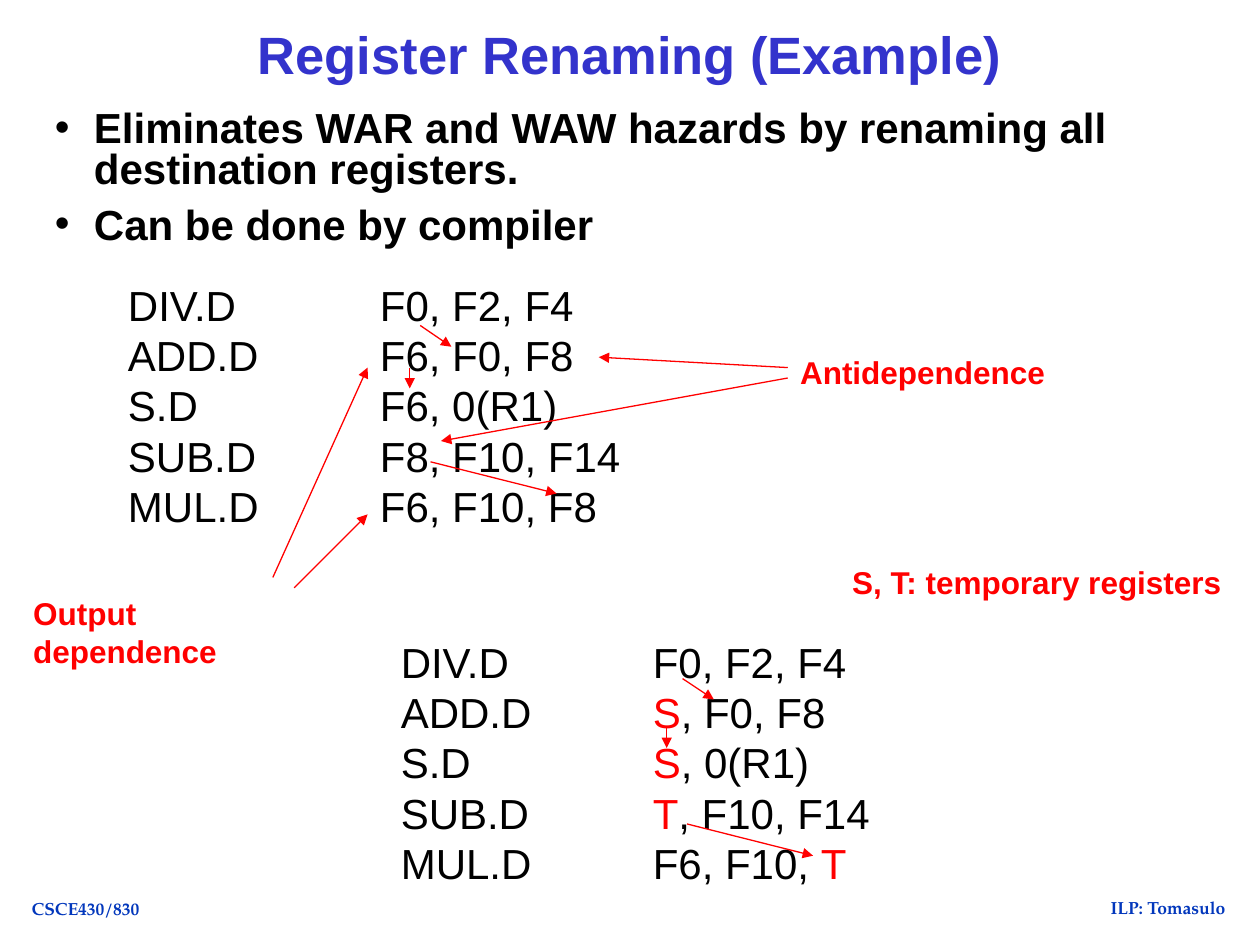
from dataclasses import dataclass

from lxml import etree
from pptx import Presentation
from pptx import util as u
from pptx.dml.color import RGBColor
from pptx.enum import shapes, text
from pptx.oxml.ns import qn


@dataclass(frozen=True)
class Theme:
    title: RGBColor = RGBColor(0x33, 0x33, 0xCC)
    body: RGBColor = RGBColor(0, 0, 0)
    accent: RGBColor = RGBColor(0xFF, 0, 0)
    footer: RGBColor = RGBColor(0x02, 0x37, 0xBC)
    font: str = "Arial"
    footer_font: str = "TeX Gyre Pagella"
    title_size: int = 30
    body_size: int = 24
    label_size: int = 18
    footer_size: int = 10
    arrow_width: float = 0.75


@dataclass(frozen=True)
class Box:
    left: float
    top: float
    width: float
    height: float


@dataclass(frozen=True)
class Label:
    words: str
    box: Box


@dataclass(frozen=True)
class Arrow:
    start_x: float
    start_y: float
    end_x: float
    end_y: float


@dataclass(frozen=True)
class Instruction:
    opcode: str
    operands: str
    renamed: str = ""


THEME = Theme()
OPERAND_TAB = 5.08
BULLET_INDENT = 0.79

BULLETS = (
    "Eliminates WAR and WAW hazards by renaming all destination registers.",
    "Can be done by compiler",
)
ORIGINAL_CODE = (
    Instruction("DIV.D", "F0, F2, F4"),
    Instruction("ADD.D", "F6, F0, F8"),
    Instruction("S.D", "F6, 0(R1)"),
    Instruction("SUB.D", "F8, F10, F14"),
    Instruction("MUL.D", "F6, F10, F8"),
)
RENAMED_CODE = (
    Instruction("DIV.D", "F0, F2, F4"),
    Instruction("ADD.D", "S, F0, F8", "S"),
    Instruction("S.D", "S, 0(R1)", "S"),
    Instruction("SUB.D", "T, F10, F14", "T"),
    Instruction("MUL.D", "F6, F10, T", "T"),
)
LABELS = (
    Label("Antidependence", Box(15.88, 6.99, 5.44, 1.02)),
    Label("Output dependence", Box(0.42, 11.85, 6.45, 1.02)),
    Label("S, T: temporary registers", Box(16.93, 11.22, 8.03, 1.02)),
)
FOOTERS = (
    Label("ILP: Tomasulo", Box(22.02, 17.96, 3.05, 0.66)),
    Label("CSCE430/830", Box(0.38, 17.98, 2.69, 0.66)),
)
ANTIDEPENDENCES = (Arrow(15.88, 7.41, 12.07, 7.2), Arrow(15.88, 7.62, 8.89, 8.89))
OUTPUT_DEPENDENCES = (Arrow(5.5, 11.64, 7.41, 7.41), Arrow(5.93, 11.85, 7.41, 10.37))
ORIGINAL_FLOW = (
    Arrow(8.47, 6.56, 9.1, 6.99),
    Arrow(8.26, 7.41, 8.26, 7.83),
    Arrow(8.68, 9.31, 11.22, 9.95),
)
RENAMED_FLOW = (
    Arrow(13.76, 13.68, 14.39, 14.1),
    Arrow(13.44, 14.66, 13.44, 15.08),
    Arrow(13.85, 16.61, 16.39, 17.25),
)


def place(shape, box: Box) -> None:
    shape.left, shape.top = u.Cm(box.left), u.Cm(box.top)
    shape.width, shape.height = u.Cm(box.width), u.Cm(box.height)


def style(paragraph, size: int, color: RGBColor, bold: bool = True, name: str = THEME.font) -> None:
    font = paragraph.font
    font.name, font.size, font.bold = name, u.Pt(size), bold
    font.color.rgb = color


def add_text_box(slide, box: Box, wrap: bool):
    shape = slide.shapes.add_textbox(
        u.Cm(box.left), u.Cm(box.top), u.Cm(box.width), u.Cm(box.height)
    )
    shape.text_frame.word_wrap = wrap
    return shape.text_frame


def add_label(slide, label: Label):
    paragraph = add_text_box(slide, label.box, wrap=False).paragraphs[0]
    paragraph.text = label.words
    return paragraph


def add_code(slide, box: Box, code: tuple[Instruction, ...]) -> None:
    frame = add_text_box(slide, box, wrap=True)
    for index, instruction in enumerate(code):
        paragraph = frame.add_paragraph() if index else frame.paragraphs[0]
        tabs = etree.SubElement(paragraph._p.get_or_add_pPr(), qn("a:tabLst"))
        etree.SubElement(tabs, qn("a:tab"), pos=str(u.Cm(OPERAND_TAB)), algn="l")
        style(paragraph, THEME.body_size, THEME.body, bold=False)
        line = f"{instruction.opcode}\t{instruction.operands}"
        if not instruction.renamed:
            paragraph.add_run().text = line
            continue
        prefix = f"{instruction.opcode}\t"
        before, register, after = instruction.operands.partition(instruction.renamed)
        paragraph.add_run().text = prefix + before
        renamed = paragraph.add_run()
        renamed.text = register
        renamed.font.color.rgb = THEME.accent
        if after:
            paragraph.add_run().text = after


def add_arrow(slide, arrow: Arrow) -> None:
    connector = slide.shapes.add_connector(
        shapes.MSO_CONNECTOR.STRAIGHT,
        u.Cm(arrow.start_x), u.Cm(arrow.start_y), u.Cm(arrow.end_x), u.Cm(arrow.end_y),
    )
    connector.line.color.rgb = THEME.accent
    connector.line.width = u.Pt(THEME.arrow_width)
    etree.SubElement(connector.line._get_or_add_ln(), qn("a:tailEnd"), type="triangle")
    etree.SubElement(connector._element.spPr, qn("a:effectLst"))


def fill_title(shape) -> None:
    place(shape, Box(2.75, 0, 19.89, 2.33))
    frame = shape.text_frame
    frame.text = "Register Renaming (Example)"
    frame.auto_size = text.MSO_AUTO_SIZE.NONE
    frame.vertical_anchor = text.MSO_ANCHOR.MIDDLE
    paragraph = frame.paragraphs[0]
    paragraph.alignment = text.PP_ALIGN.CENTER
    paragraph.line_spacing = 0.9
    style(paragraph, THEME.title_size, THEME.title)


def fill_bullets(shape) -> None:
    place(shape, Box(0.85, 2.12, 23.92, 3.07))
    frame = shape.text_frame
    frame.text = "\n".join(BULLETS)
    frame.auto_size = text.MSO_AUTO_SIZE.NONE
    for index, paragraph in enumerate(frame.paragraphs):
        properties = paragraph._p.get_or_add_pPr()
        properties.set("marL", str(u.Cm(BULLET_INDENT)))
        properties.set("indent", str(-u.Cm(BULLET_INDENT)))
        paragraph.line_spacing = 0.8
        paragraph.space_before = u.Pt(9 if index else 0)
        style(paragraph, THEME.body_size, THEME.body)


def main() -> None:
    presentation = Presentation()
    presentation.slide_width, presentation.slide_height = u.Cm(25.4), u.Cm(19.05)
    slide = presentation.slides.add_slide(presentation.slide_layouts[1])
    fill_title(slide.shapes.title)
    fill_bullets(slide.placeholders[1])
    for footer in FOOTERS:
        paragraph = add_label(slide, footer)
        paragraph.alignment = text.PP_ALIGN.CENTER
        style(paragraph, THEME.footer_size, THEME.footer, name=THEME.footer_font)
    add_code(slide, Box(2.33, 5.5, 10.58, 5.33), ORIGINAL_CODE)
    add_code(slide, Box(7.83, 12.7, 10.58, 5.33), RENAMED_CODE)
    for label in LABELS:
        style(add_label(slide, label), THEME.label_size, THEME.accent)
    for arrow in ANTIDEPENDENCES + OUTPUT_DEPENDENCES + ORIGINAL_FLOW + RENAMED_FLOW:
        add_arrow(slide, arrow)
    presentation.save("out.pptx")


if __name__ == "__main__":
    main()
